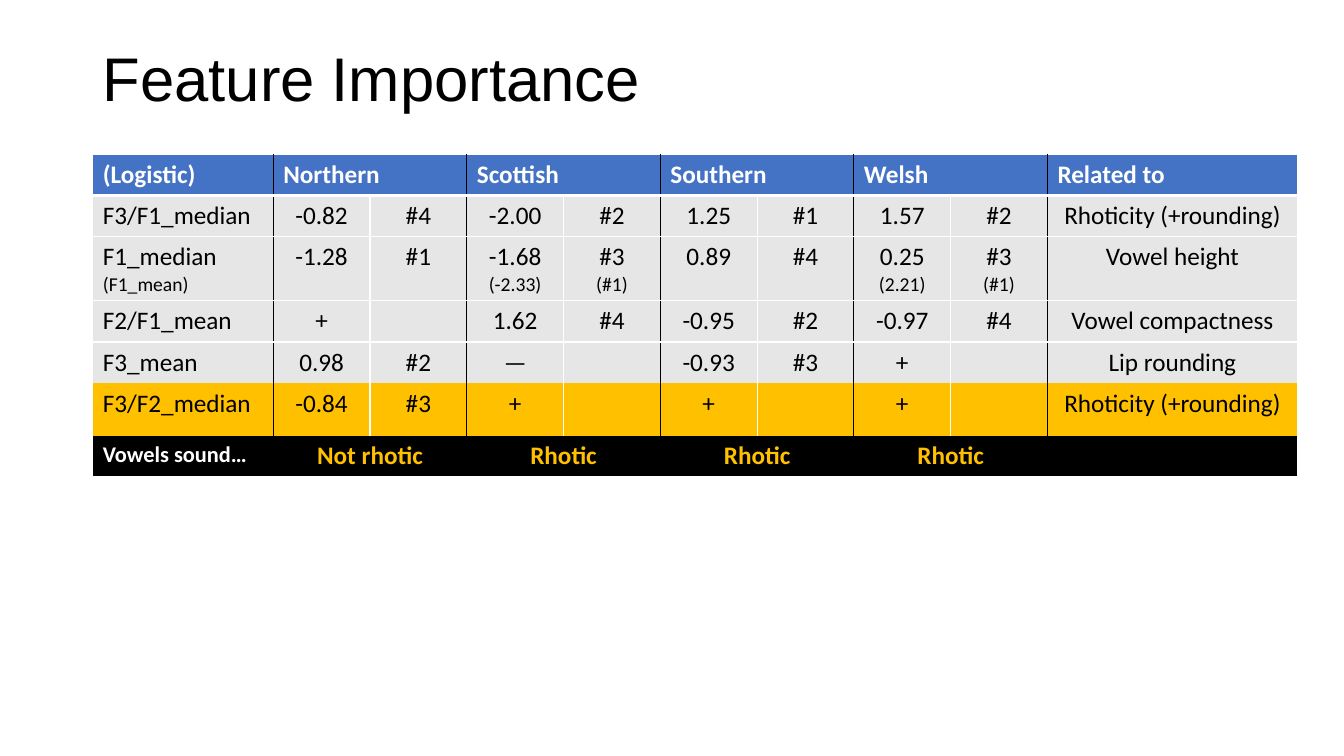
from lxml import etree
from pptx import Presentation
from pptx.dml.color import RGBColor
from pptx.enum import text
from pptx.oxml.ns import qn
from pptx.util import Inches, Pt

TITLE = "Feature Importance"
REGIONS = ["Northern", "Scottish", "Southern", "Welsh"]
HEAD = ["(Logistic)", *REGIONS, "Related to"]
# A tuple holds a main line and a smaller line below it
BODY = [
    ["F3/F1_median", "-0.82", "#4", "-2.00", "#2", "1.25", "#1", "1.57", "#2",
     "Rhoticity (+rounding)"],
    [("F1_median", "(F1_mean)"), "-1.28", "#1", ("-1.68", "(-2.33)"), ("#3", "(#1)"),
     "0.89", "#4", ("0.25", "(2.21)"), ("#3", "(#1)"), "Vowel height"],
    ["F2/F1_mean", "+", "", "1.62", "#4", "-0.95", "#2", "-0.97", "#4",
     "Vowel compactness"],
    ["F3_mean", "0.98", "#2", "—", "", "-0.93", "#3", "+", "", "Lip rounding"],
    ["F3/F2_median", "-0.84", "#3", "+", "", "+", "", "+", "",
     "Rhoticity (+rounding)"],
]
FOOT = ["Vowels sound…", "Not rhotic", "Rhotic", "Rhotic", "Rhotic", ""]

THEME = {
    "title": {"name": "Arial", "size": 44, "color": "000000", "bold": False},
    "head": {"name": "Calibri", "size": 18, "color": "FFFFFF", "bold": True},
    "body": {"name": "Calibri", "size": 18, "color": "000000", "bold": False},
    "minor": {"name": "Calibri", "size": 14, "color": "000000", "bold": False},
    "label": {"name": "Calibri", "size": 16, "color": "FFFFFF", "bold": True},
    "result": {"name": "Calibri", "size": 18, "color": "FFC000", "bold": True},
    "blue": "4472C4", "gray": "E7E6E6", "gold": "FFC000",
    "black": "000000", "white": "FFFFFF",
}
COLS = [1.79] + [0.96] * 8 + [2.48]
ROWS = [0.41] * 5 + [0.52, 0.41]
FILLS = ["blue"] + ["gray"] * 4 + ["gold", "black"]
# Line width at each row edge; 0 means no line
EDGES = [1, 3, 1, 1, 1, 0, 0, 1]
LEFT, CENTER = text.PP_ALIGN.LEFT, text.PP_ALIGN.CENTER


def write(para, words, look, align):
    para.alignment = align
    if not words:
        return
    run = para.add_run()
    run.text = words
    style = dict(THEME[look])
    run.font.color.rgb = RGBColor.from_string(style.pop("color"))
    style["size"] = Pt(style["size"])
    for key, value in style.items():
        setattr(run.font, key, value)


def rule(cell, side, width, color):
    """Draw one border of a cell, or clear it when width is 0."""
    line = etree.SubElement(cell._tc.get_or_add_tcPr(), qn(f"a:ln{side}"),
                            w=str(int(Pt(width))))
    if width:
        fill = etree.SubElement(line, qn("a:solidFill"))
        etree.SubElement(fill, qn("a:srgbClr"), val=THEME[color])
    else:
        etree.SubElement(line, qn("a:noFill"))


def fill_cell(cell, words, look, align):
    lines = words if isinstance(words, tuple) else (words,)
    frame = cell.text_frame
    for i, line in enumerate(lines):
        para = frame.add_paragraph() if i else frame.paragraphs[0]
        write(para, line, "minor" if i else look, align)


def spread(items):
    """Pair each cell text with its column; regions take two columns."""
    return zip([0, 1, 3, 5, 7, 9], items)


def add_title(slide):
    box = slide.shapes.add_textbox(*map(Inches, (0.92, 0.08, 11.5, 1.45)))
    frame = box.text_frame
    frame.word_wrap = True
    frame.vertical_anchor = text.MSO_ANCHOR.MIDDLE
    frame.paragraphs[0].line_spacing = 0.9
    write(frame.paragraphs[0], TITLE, "title", LEFT)


def add_grid(slide):
    frame = slide.shapes.add_table(len(ROWS), len(COLS),
                                   *map(Inches, (0.92, 1.53, 11.94, 3.18)))
    grid = frame.table
    for col, width in zip(grid.columns, COLS):
        col.width = Inches(width)
    for row, height in zip(grid.rows, ROWS):
        row.height = Inches(height)
    frame.height = Inches(3.18)

    last = len(ROWS) - 1
    for r in (0, last):
        for c in range(1, 9, 2):
            grid.cell(r, c).merge(grid.cell(r, c + 1))

    for r, fill in enumerate(FILLS):
        for c in range(len(COLS)):
            cell = grid.cell(r, c)
            end = c + (cell.span_width if cell.is_merge_origin else 1)
            for side, edge in (("L", c), ("R", end)):
                rule(cell, side, 1, "black" if edge % 2 else "white")
            for side, edge in (("T", r), ("B", r + 1)):
                rule(cell, side, EDGES[edge], "white")
            cell.fill.solid()
            cell.fill.fore_color.rgb = RGBColor.from_string(THEME[fill])

    for c, words in spread(HEAD):
        fill_cell(grid.cell(0, c), words, "head", LEFT)
    for r, items in enumerate(BODY, 1):
        for c, words in enumerate(items):
            fill_cell(grid.cell(r, c), words, "body", CENTER if c else LEFT)
    for c, words in spread(FOOT):
        fill_cell(grid.cell(last, c), words, "result" if c else "label",
                  CENTER if c else LEFT)


def main():
    deck = Presentation()
    deck.slide_width, deck.slide_height = Inches(13.33), Inches(7.5)
    slide = deck.slides.add_slide(deck.slide_layouts[6])
    add_title(slide)
    add_grid(slide)
    deck.save("out.pptx")


if __name__ == "__main__":
    main()
